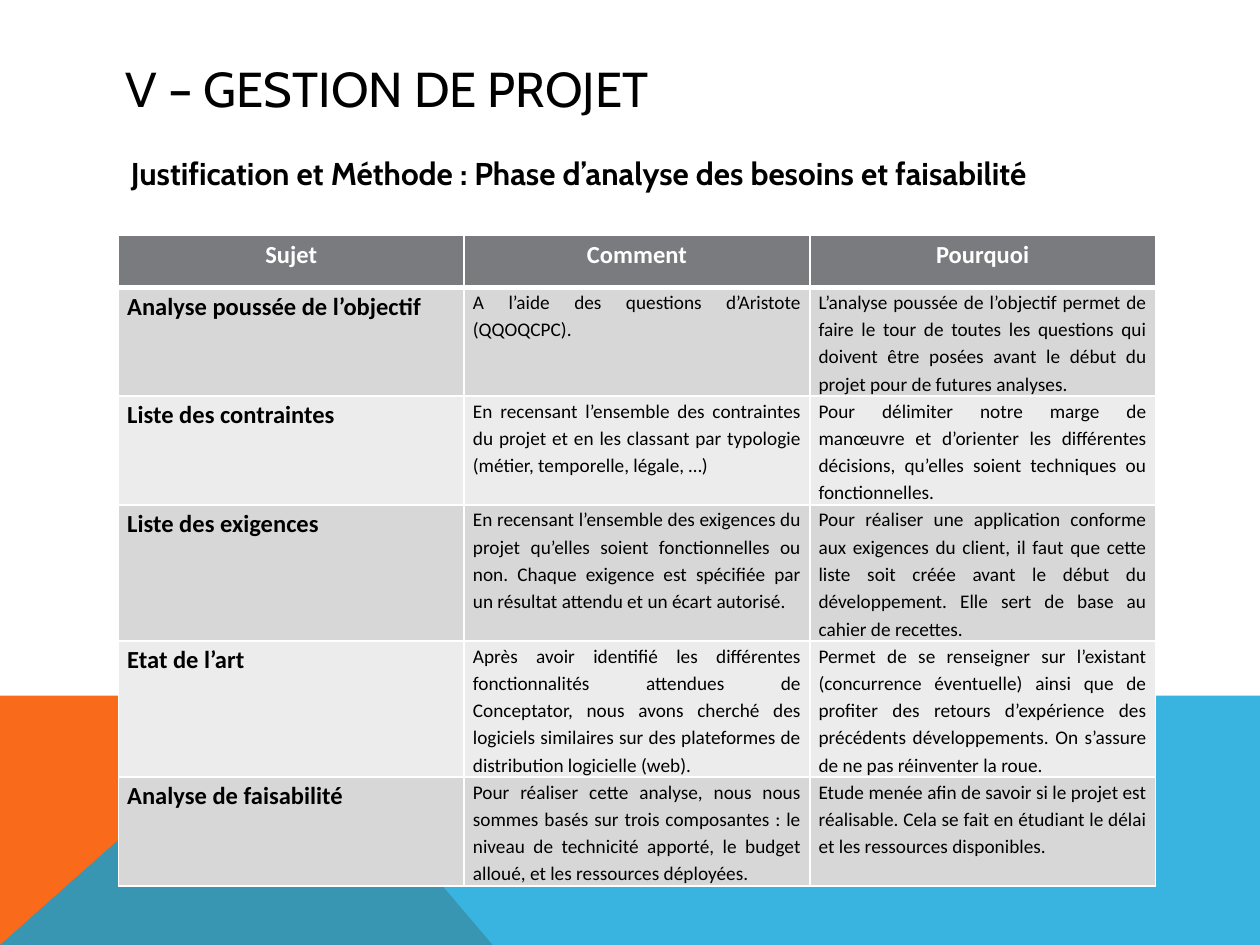
import pptx
import pptx.dml.color
import pptx.enum.text
import pptx.oxml
import pptx.oxml.ns
import pptx.util
from lxml import etree

RGBColor = pptx.dml.color.RGBColor
Inches = pptx.util.Inches
Pt = pptx.util.Pt
ALIGN = pptx.enum.text.PP_ALIGN
ANCHOR = pptx.enum.text.MSO_ANCHOR

ORANGE = RGBColor(0xF9, 0x6A, 0x1B)
BLUE = RGBColor(0x08, 0xA1, 0xD9)
BLACK = RGBColor(0, 0, 0)
WHITE = RGBColor(0xFF, 0xFF, 0xFF)
HEADER_GREY = RGBColor(0x79, 0x7B, 0x7E)
BANDS = (RGBColor(0xD7, 0xD7, 0xD8), RGBColor(0xEC, 0xEC, 0xEC))

SLIDE_WIDTH, SLIDE_HEIGHT = 10, 7.5
COLUMN_WIDTH = 8.23 / 3
HEADER_HEIGHT, LINE_HEIGHT = 0.41, 0.216

HEADINGS = ("Sujet", "Comment", "Pourquoi")
SUBJECTS = [
    (4, "Analyse poussée de l’objectif",
     "A l’aide des questions d’Aristote (QQOQCPC).",
     "L’analyse poussée de l’objectif permet de faire le tour de toutes les questions "
     "qui doivent être posées avant le début du projet pour de futures analyses."),
    (4, "Liste des contraintes",
     "En recensant l’ensemble des contraintes du projet et en les classant par "
     "typologie (métier, temporelle, légale, …)",
     "Pour délimiter notre marge de manœuvre et d’orienter les différentes décisions, "
     "qu’elles soient techniques ou fonctionnelles."),
    (5, "Liste des exigences",
     "En recensant l’ensemble des exigences du projet qu’elles soient fonctionnelles "
     "ou non. Chaque exigence est spécifiée par un résultat attendu et un écart autorisé.",
     "Pour réaliser une application conforme aux exigences du client, il faut que cette "
     "liste soit créée avant le début du développement. Elle sert de base au cahier de "
     "recettes."),
    (5, "Etat de l’art",
     "Après avoir identifié les différentes fonctionnalités attendues de Conceptator, "
     "nous avons cherché des logiciels similaires sur des plateformes de distribution "
     "logicielle (web).",
     "Permet de se renseigner sur l’existant (concurrence éventuelle) ainsi que de "
     "profiter des retours d’expérience des précédents développements. On s’assure de "
     "ne pas réinventer la roue."),
    (4, "Analyse de faisabilité",
     "Pour réaliser cette analyse, nous nous sommes basés sur trois composantes : le "
     "niveau de technicité apporté, le budget alloué, et les ressources déployées.",
     "Etude menée afin de savoir si le projet est réalisable. Cela se fait en étudiant "
     "le délai et les ressources disponibles."),
]


def write_text(frame, text, *, size, font, color=BLACK, bold=False,
               align=ALIGN.LEFT, spacing=None):
    paragraph = frame.paragraphs[0]
    paragraph.alignment = align
    paragraph.line_spacing = spacing
    run = paragraph.add_run()
    run.text = text
    run.font.size = Pt(size)
    run.font.name = font
    run.font.bold = bold
    run.font.color.rgb = color


def add_heading(slide, text, left, top, width, height, *, anchor, wrap, **text_format):
    heading = slide.shapes.add_textbox(
        *(Inches(length) for length in (left, top, width, height)))
    heading.text_frame.word_wrap = wrap
    heading.text_frame.vertical_anchor = anchor
    write_text(heading.text_frame, text, font="Cabin", **text_format)


def add_band(slide, corners, color, opacity=100):
    points = [(Inches(x * SLIDE_WIDTH), Inches(y * SLIDE_HEIGHT)) for x, y in corners]
    outline = slide.shapes.build_freeform(*points[0])
    outline.add_line_segments(points[1:], close=True)
    band = outline.convert_to_shape()
    band.shadow.inherit = False
    band.line.fill.background()
    band.fill.solid()
    band.fill.fore_color.rgb = color
    if opacity < 100:
        tint = band.fill._xPr.find(".//" + pptx.oxml.ns.qn("a:srgbClr"))
        etree.SubElement(tint, pptx.oxml.ns.qn("a:alpha"), val=str(opacity * 1000))


def set_borders(cell, **widths):
    properties = cell._tc.get_or_add_tcPr()
    for side in "LRTB":
        properties.append(pptx.oxml.parse_xml(
            f'<a:ln{side} {pptx.oxml.ns.nsdecls("a")} w="{Pt(widths.get(side, 1))}">'
            f'<a:solidFill><a:srgbClr val="{WHITE}"/></a:solidFill></a:ln{side}>'))


def fill_cell(cell, text, fill, borders, **text_format):
    cell.margin_left = cell.margin_right = Inches(0.07)
    cell.margin_top = cell.margin_bottom = 0
    set_borders(cell, **borders)
    cell.fill.solid()
    cell.fill.fore_color.rgb = fill
    write_text(cell.text_frame, text, font="Calibri", spacing=1.15, **text_format)


def add_method_table(slide):
    heights = [HEADER_HEIGHT] + [lines * LINE_HEIGHT for lines, *_ in SUBJECTS]
    methods = slide.shapes.add_table(
        len(heights), len(HEADINGS), Inches(0.94), Inches(1.87),
        Inches(COLUMN_WIDTH * len(HEADINGS)), Inches(sum(heights))).table
    for row, height in zip(methods.rows, heights):
        row.height = Inches(height)
    for column, heading in enumerate(HEADINGS):
        fill_cell(methods.cell(0, column), heading, HEADER_GREY, {"B": 3},
                  size=14, bold=True, color=WHITE, align=ALIGN.CENTER)
    for row, (_, *texts) in enumerate(SUBJECTS, start=1):
        for column, text in enumerate(texts):
            is_subject = column == 0
            fill_cell(methods.cell(row, column), text, BANDS[(row - 1) % 2],
                      {"T": 3} if row == 1 else {},
                      size=14 if is_subject else 11, bold=is_subject,
                      align=ALIGN.JUSTIFY)


def main():
    deck = pptx.Presentation()
    deck.slide_width = Inches(SLIDE_WIDTH)
    deck.slide_height = Inches(SLIDE_HEIGHT)
    slide = deck.slides.add_slide(deck.slide_layouts[6])
    horizon = 0.736
    add_band(slide, [(0, 1), (0, horizon), (0.223, horizon), (0.391, 1)], ORANGE)
    add_band(slide, [(0, 1), (0.223, horizon), (1, horizon), (1, 1)], BLUE, opacity=80)
    add_heading(slide, "V – GESTION DE PROJET", 0.9, 0.4, 8.22, 0.6,
                anchor=ANCHOR.MIDDLE, wrap=True, size=28)
    add_method_table(slide)
    add_heading(slide, "Justification et Méthode : Phase d’analyse des besoins et faisabilité",
                0.94, 1.17, 7.39, 0.71, anchor=ANCHOR.TOP, wrap=False, size=18, bold=True)
    deck.save("out.pptx")


if __name__ == "__main__":
    main()
